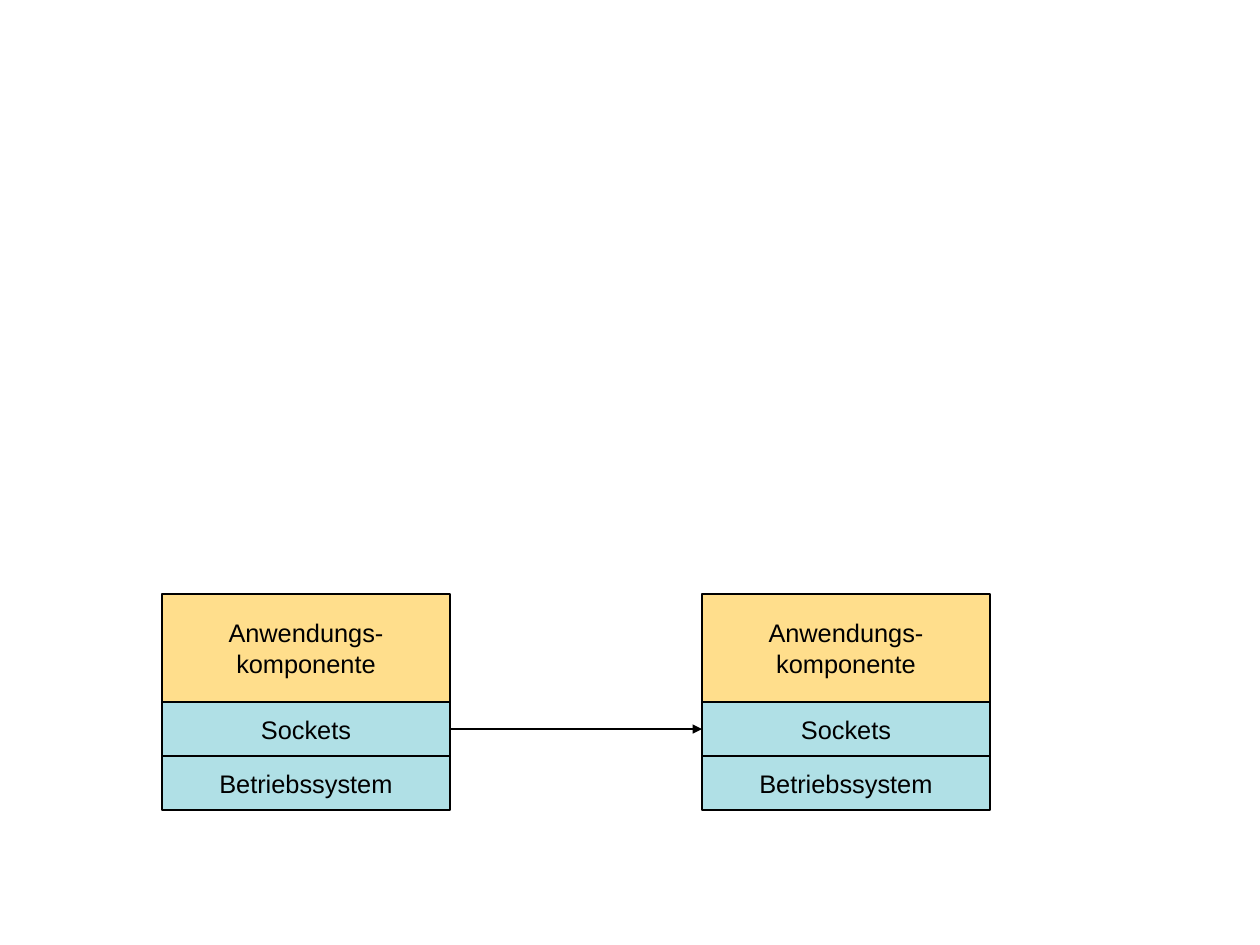
import dataclasses

import pptx
import pptx.dml.color
import pptx.enum.shapes
import pptx.enum.text
import pptx.oxml
import pptx.oxml.ns
import pptx.util


@dataclasses.dataclass(frozen=True)
class Theme:
    font: str = "Arial"
    text_size: float = 16
    ink: str = "000000"
    application: str = "FFDE8C"
    system: str = "B0E0E6"
    border: float = 0.85
    arrow: float = 1.42


THEME = Theme()
LAYERS = [
    ("Anwendungs-\nkomponente", 2, THEME.application),
    ("Sockets", 1, THEME.system),
    ("Betriebssystem", 1, THEME.system),
]
RIGHT_SITE, LEFT_SITE = 3, 1


def metric(centimetres):
    return pptx.util.Inches(centimetres / 2.54)


def rgb(value):
    return pptx.dml.color.RGBColor.from_string(value)


def write_text(frame, text, size=THEME.text_size, color=THEME.ink,
               align=pptx.enum.text.PP_ALIGN.CENTER):
    frame.word_wrap = False
    frame.vertical_anchor = pptx.enum.text.MSO_ANCHOR.MIDDLE
    frame.margin_left = frame.margin_right = metric(0.25)
    frame.margin_top = frame.margin_bottom = metric(0.15)
    frame.text = text
    for paragraph in frame.paragraphs:
        paragraph.alignment = align
        for run in paragraph.runs:
            run.font.name = THEME.font
            run.font.size = pptx.util.Pt(size)
            run.font.color.rgb = rgb(color)


def add_layer(slide, label, fill, left, top, width, height):
    layer = slide.shapes.add_shape(
        pptx.enum.shapes.MSO_SHAPE.RECTANGLE,
        metric(left), metric(top), metric(width), metric(height))
    layer.shadow.inherit = False
    layer.fill.solid()
    layer.fill.fore_color.rgb = rgb(fill)
    layer.line.color.rgb = rgb(THEME.ink)
    layer.line.width = pptx.util.Pt(THEME.border)
    write_text(layer.text_frame, label)
    return layer


def add_stack(slide, left, top, width, height):
    unit = height / sum(units for _, units, _ in LAYERS)
    layers = {}
    bottom = top + height
    for label, units, fill in reversed(LAYERS):
        bottom -= units * unit
        layers[label] = add_layer(slide, label, fill, left, bottom, width, units * unit)
    return layers


def add_message_arrow(slide, sender, receiver):
    arrow = slide.shapes.add_connector(
        pptx.enum.shapes.MSO_CONNECTOR.STRAIGHT, 0, 0, 0, 0)
    arrow.begin_connect(sender, RIGHT_SITE)
    arrow.end_connect(receiver, LEFT_SITE)
    arrow.line.color.rgb = rgb(THEME.ink)
    arrow.line.width = pptx.util.Pt(THEME.arrow)
    namespace = pptx.oxml.ns.nsdecls("a")
    arrow.line._get_or_add_ln().append(
        pptx.oxml.parse_xml(f'<a:tailEnd {namespace} type="triangle"/>'))
    arrow._element.spPr.append(pptx.oxml.parse_xml(f"<a:effectLst {namespace}/>"))


def add_communication(slide, left, top, width, height):
    stack_width = 6.4
    receiver = add_stack(slide, left + width - stack_width, top, stack_width, height)
    sender = add_stack(slide, left, top, stack_width, height)
    add_message_arrow(slide, sender["Sockets"], receiver["Sockets"])


def main():
    deck = pptx.Presentation()
    deck.slide_width = metric(28)
    deck.slide_height = metric(21)
    slide = deck.slides.add_slide(deck.slide_layouts[6])
    add_communication(slide, left=3.6, top=13.2, width=18.4, height=4.8)
    deck.save("out.pptx")


if __name__ == "__main__":
    main()
